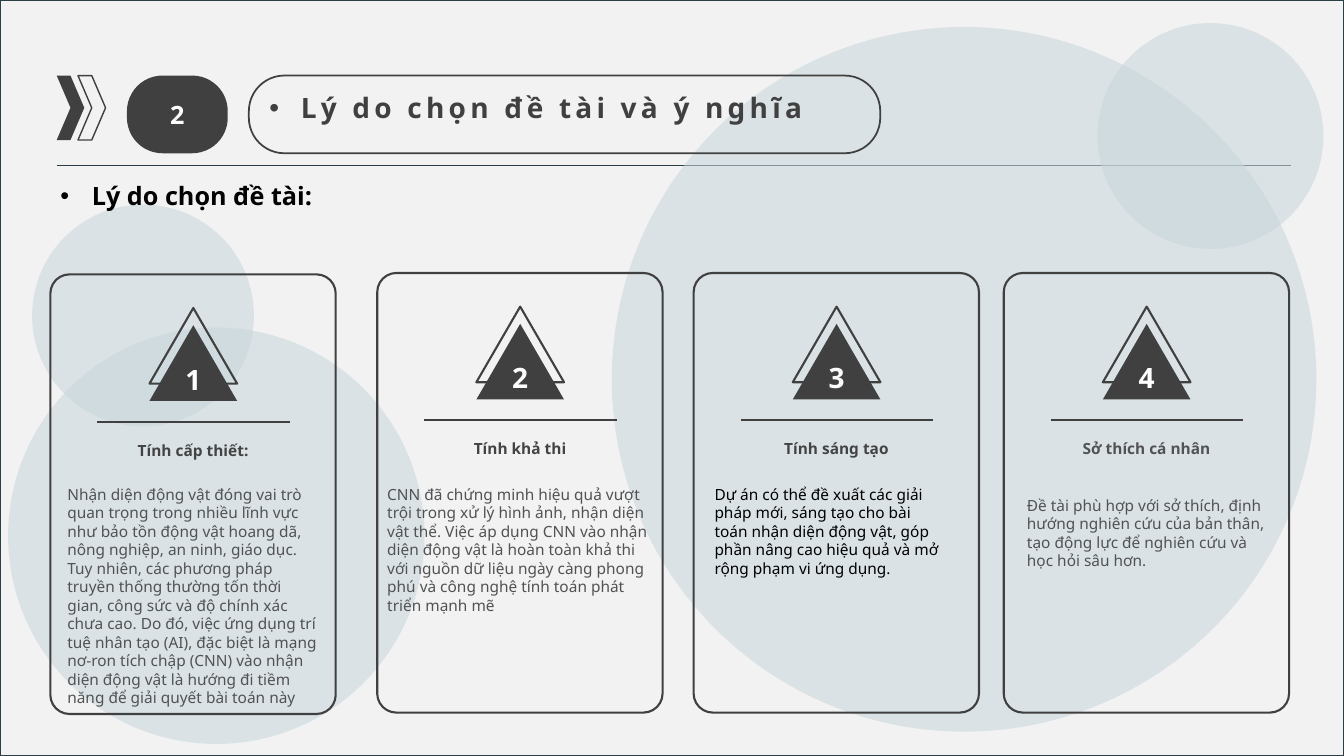
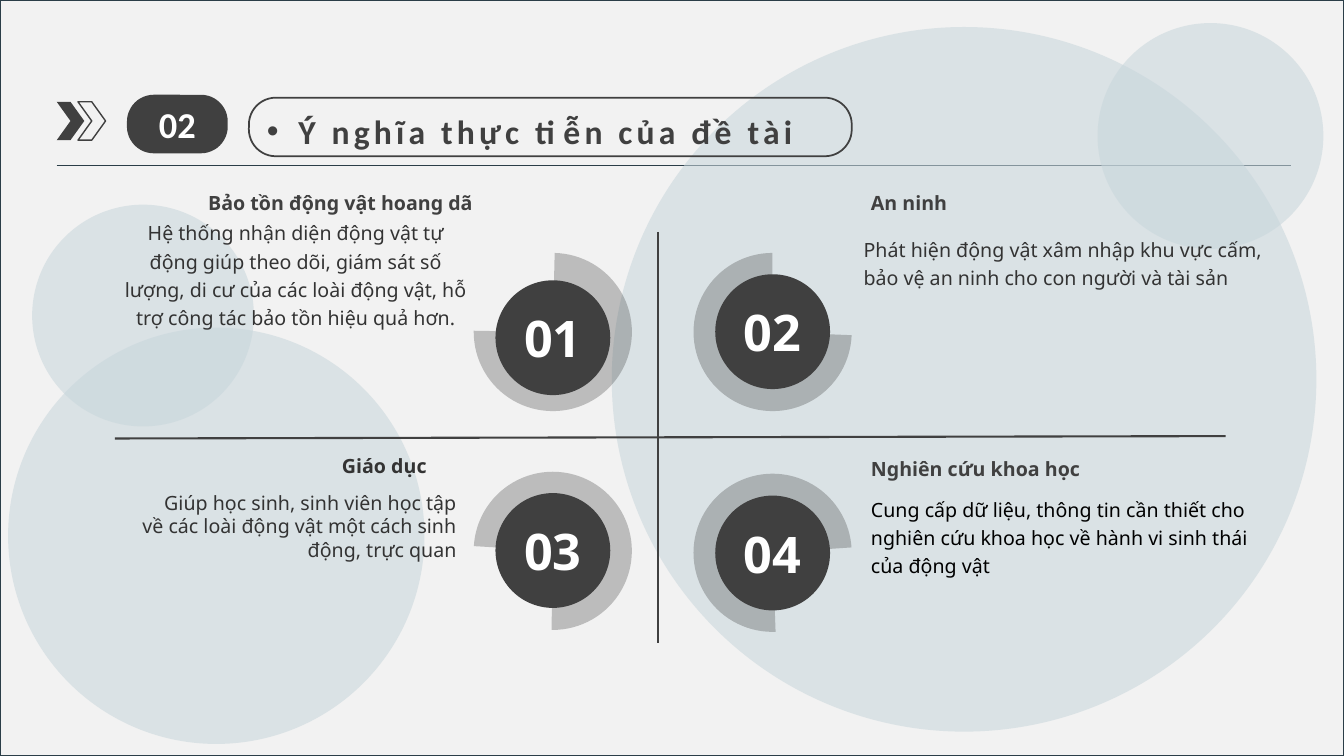
from lxml.etree import SubElement
from pptx import Presentation
from pptx.dml.color import RGBColor
from pptx.enum.shapes import MSO_CONNECTOR, MSO_SHAPE
from pptx.enum.text import MSO_ANCHOR, MSO_AUTO_SIZE, PP_ALIGN
from pptx.oxml.ns import qn
from pptx.util import Pt

# Shared look
COLORS = {
    "paper": "F2F2F2", "frame": "2B3E48", "bubble": "C8D6DC", "dark": "404040",
    "heading": "434343", "gray": "515253", "text": "333333", "black": "000000",
    "white": "FFFFFF",
}
FONT = "Noto Sans"
WIDTH, HEIGHT = 960, 540
BUBBLES = [(437, 19.3, 503.3), (784, 16.5, 161.3), (5.8, 234, 297.4), (23, 146.2, 158.4)]
PILL_ROUNDING = 0.458
LEFT, CENTER, RIGHT = PP_ALIGN.LEFT, PP_ALIGN.CENTER, PP_ALIGN.RIGHT

# Content: tops and heights are (top, height)
REASONS_HEADER = {
    "number": "2", "title": "Lý do chọn đề tài và ý nghĩa", "font": FONT,
    "number_size": 18, "title_size": 20, "title_width": 451,
    "chevrons": (54, 46), "badge": (54, 55.5), "pill": (54, 55.5),
}
MEANING_HEADER = {
    "number": "02", "title": "Ý nghĩa thực tiễn của đề tài", "font": "Calibri",
    "number_size": 26, "title_size": 24, "title_width": 430.6,
    "chevrons": (72.7, 27.4), "badge": (67.7, 41.8), "pill": (69.8, 41.8),
}
REASONS_LABEL = "Lý do chọn đề tài:"
# Card left and top, heading and colour, body box, body and colour
REASONS = [
    (36, 196, "Tính cấp thiết:", "heading", (41, 342.7, 193.7, 167),
     "Nhận diện động vật đóng vai trò quan trọng trong nhiều lĩnh vực như bảo tồn động vật "
     "hoang dã, nông nghiệp, an ninh, giáo dục. Tuy nhiên, các phương pháp truyền thống "
     "thường tốn thời gian, công sức và độ chính xác chưa cao. Do đó, việc ứng dụng trí tuệ "
     "nhân tạo (AI), đặc biệt là mạng nơ-ron tích chập (CNN) vào nhận diện động vật là hướng "
     "đi tiềm năng để giải quyết bài toán này", "gray"),
    (269.5, 195, "Tính khả thi", "heading", (269.5, 342.7, 200.9, 101),
     "CNN đã chứng minh hiệu quả vượt trội trong xử lý hình ảnh, nhận diện vật thể. Việc áp "
     "dụng CNN vào nhận diện động vật là hoàn toàn khả thi với nguồn dữ liệu ngày càng phong "
     "phú và công nghệ tính toán phát triển mạnh mẽ", "gray"),
    (495.5, 195, "Tính sáng tạo", "heading", (503.3, 342.7, 179.3, 74),
     "Dự án có thể đề xuất các giải pháp mới, sáng tạo cho bài toán nhận diện động vật, góp "
     "phần nâng cao hiệu quả và mở rộng phạm vi ứng dụng.", "black"),
    (717, 195, "Sở thích cá nhân", "gray", (726.5, 350.6, 185, 60.5),
     "Đề tài phù hợp với sở thích, định hướng nghiên cứu của bản thân, tạo động lực để "
     "nghiên cứu và học hỏi sâu hơn.", "gray"),
]
# Number, ring left and top, ring angles, disc drop
DISCS = [
    ("01", 338.4, 180.7, (271.36, 180.93), 19.5),
    ("02", 495.4, 180.7, (2.3, 269.79), 15.2),
    ("03", 338.4, 337, (183.43, 90.89), 15.2),
    ("04", 495.4, 338.4, (87.82, 356.09), 15.6),
]
# Heading, its box, colour and alignment; body, its box, colour, alignment, line spacing
MEANINGS = [
    ("Bảo tồn động vật hoang dã", (135, 132.5, 210, 25), "dark", RIGHT,
     "Hệ thống nhận diện động vật tự động giúp theo dõi, giám sát số lượng, di cư của các "
     "loài động vật, hỗ trợ công tác bảo tồn hiệu quả hơn.",
     (79.9, 151.2, 262.8, 105), "text", CENTER, 1.2),
    ("An ninh", (615, 132.5, 210, 25), "dark", LEFT,
     "Phát hiện động vật xâm nhập khu vực cấm, bảo vệ an ninh cho con người và tài sản",
     (609.8, 162.7, 326.9, 124), "text", LEFT, 1.2),
    ("Giáo dục", (102, 320.6, 210, 25), "text", RIGHT,
     "Giúp học sinh, sinh viên học tập về các loài động vật một cách sinh động, trực quan",
     (92.9, 347, 240.5, 87), "text", RIGHT, 1),
    ("Nghiên cứu khoa học", (615, 322.6, 210, 25), "dark", LEFT,
     "Cung cấp dữ liệu, thông tin cần thiết cho nghiên cứu khoa học về hành vi sinh thái "
     "của động vật", (615, 348.5, 284.4, 87), "black", LEFT, 1.2),
]


def rgb(color):
    return RGBColor.from_string(COLORS[color])


def write(shape, text, size, color, bold=False, align=LEFT, anchor=MSO_ANCHOR.TOP,
          font=FONT, spacing=1, wrap=True):
    frame = shape.text_frame
    frame.text = text
    frame.auto_size = MSO_AUTO_SIZE.NONE
    frame.word_wrap = wrap
    frame.vertical_anchor = anchor
    paragraph = frame.paragraphs[0]
    paragraph.alignment = align
    paragraph.line_spacing = spacing
    paragraph.font.size = Pt(size)
    paragraph.font.name = font
    paragraph.font.bold = bold
    paragraph.font.color.rgb = rgb(color)
    return paragraph


def add_bullet(paragraph, tracking=0):
    properties = paragraph._p.get_or_add_pPr()
    properties.set("marL", str(Pt(22.5)))
    properties.set("indent", str(-Pt(22.5)))
    defaults = properties.find(qn("a:defRPr"))
    defaults.set("spc", str(tracking * 100))
    for tag, name, value in (("a:buFont", "typeface", "Arial"), ("a:buChar", "char", "•")):
        bullet = SubElement(properties, qn(tag))
        bullet.set(name, value)
        defaults.addprevious(bullet)


def add_text(slide, box, text, size, color, **style):
    return write(slide.shapes.add_textbox(*map(Pt, box)), text, size, color, **style)


def add_figure(slide, kind, box, fill=None, line=None, weight=1.0, opacity=100,
               adjustments=()):
    shape = slide.shapes.add_shape(kind, *map(Pt, box))
    shape.shadow.inherit = False
    for index, value in enumerate(adjustments):
        shape.adjustments[index] = value
    if fill:
        shape.fill.solid()
        shape.fill.fore_color.rgb = rgb(fill)
        if opacity < 100:
            tint = shape.element.spPr.find(qn("a:solidFill")).find(qn("a:srgbClr"))
            SubElement(tint, qn("a:alpha")).set("val", str(opacity * 1000))
    else:
        shape.fill.background()
    if line:
        shape.line.color.rgb = rgb(line)
        shape.line.width = Pt(weight)
    else:
        shape.line.fill.background()
    return shape


def add_rule(slide, start, end, color="dark", weight=1.5):
    rule = slide.shapes.add_connector(MSO_CONNECTOR.STRAIGHT, *map(Pt, (*start, *end)))
    rule.line.color.rgb = rgb(color)
    rule.line.width = Pt(weight)
    SubElement(rule.element.spPr, qn("a:effectLst"))
    return rule


def move_backdrop_to_layout(slide, layout):
    """Draw the backdrop once and let the layout carry it."""
    for placeholder in list(layout.placeholders)[1:]:
        placeholder.element.getparent().remove(placeholder.element)
    parts = [
        add_figure(slide, MSO_SHAPE.RECTANGLE, (0, 0, WIDTH, HEIGHT), "paper", "frame"),
        add_rule(slide, (40.5, 118), (922.3, 118), "frame", 0.5),
    ]
    parts += [add_figure(slide, MSO_SHAPE.OVAL, (x, y, size, size), "bubble", opacity=57)
              for x, y, size in BUBBLES]
    for position, part in enumerate(parts, start=2):
        layout.shapes.element.insert(position, part.element)


def add_header(slide, header):
    top, height = header["chevrons"]
    add_figure(slide, MSO_SHAPE.CHEVRON, (55.7, top, 19.7, height), line="dark")
    add_figure(slide, MSO_SHAPE.CHEVRON, (40.5, top, 19.7, height), "dark")

    top, height = header["badge"]
    badge = add_figure(slide, MSO_SHAPE.ROUNDED_RECTANGLE, (90.7, top, 72, height), "dark",
                       adjustments=[PILL_ROUNDING])
    write(badge, header["number"], header["number_size"], "white", bold=True, align=CENTER,
          anchor=MSO_ANCHOR.MIDDLE, font=header["font"], wrap=False)

    left, width = 177.8, header["title_width"]
    top, height = header["pill"]
    add_figure(slide, MSO_SHAPE.ROUNDED_RECTANGLE, (left, top, width, height), line="dark",
               weight=1.25, adjustments=[PILL_ROUNDING])

    # The title sits inside the rounded corners
    inset = 0.29 * PILL_ROUNDING * height
    title = slide.shapes.title
    title.left, title.top = Pt(left + inset), Pt(top + inset)
    title.width, title.height = Pt(width - 2 * inset), Pt(height - 2 * inset)
    add_bullet(write(title, header["title"], header["title_size"], "dark", bold=True,
                     font=header["font"]), tracking=3)


def add_reason_card(slide, number, left, top, heading, heading_color, body_box, body,
                    body_color):
    add_figure(slide, MSO_SHAPE.ROUNDED_RECTANGLE, (left, top, 203.8, 314), line="dark",
               weight=1.5, adjustments=[0.067])
    add_rule(slide, (left + 33.5, top + 105.3), (left + 171, top + 105.3))
    add_text(slide, (left + 16, top + 115.3, 172, 24), heading, 11, heading_color,
             bold=True, align=CENTER)
    triangle = (left + 70.8, top + 24, 62.6, 54)
    add_figure(slide, MSO_SHAPE.ISOSCELES_TRIANGLE, triangle, line="dark", weight=1.5)
    marker = add_figure(slide, MSO_SHAPE.ISOSCELES_TRIANGLE,
                        (triangle[0], top + 36.3, *triangle[2:]), "dark")
    write(marker, str(number), 20, "white", bold=True, align=CENTER,
          anchor=MSO_ANCHOR.BOTTOM, wrap=False)
    add_text(slide, body_box, body, 11, body_color)


def add_disc(slide, number, left, top, angles, drop):
    ring, disc = 113, 82
    # Pie angles are stored in 60000ths of a degree, adjustments in 100000ths
    add_figure(slide, MSO_SHAPE.PIE, (left, top, ring, ring), "dark", opacity=30,
               adjustments=[angle * 0.6 for angle in angles])
    center = add_figure(slide, MSO_SHAPE.OVAL,
                        (left + (ring - disc) / 2, top + drop, disc, disc), "dark")
    write(center, number, 36, "white", bold=True, align=CENTER,
          anchor=MSO_ANCHOR.MIDDLE, wrap=False)


def build_reasons(slide):
    add_header(slide, REASONS_HEADER)
    add_bullet(add_text(slide, (36, 125.3, 404.6, 29), REASONS_LABEL, 18, "black",
                        bold=True))
    for number, reason in enumerate(REASONS, start=1):
        add_reason_card(slide, number, *reason)


def build_meanings(slide):
    add_header(slide, MEANING_HEADER)
    add_rule(slide, (82, 313.2), (875.5, 311.5))
    add_rule(slide, (470.2, 165.6), (470.2, 459.4))
    for disc in DISCS:
        add_disc(slide, *disc)
    for (heading, heading_box, heading_color, heading_align,
         body, body_box, body_color, body_align, spacing) in MEANINGS:
        add_text(slide, body_box, body, 14, body_color, align=body_align, spacing=spacing)
        add_text(slide, heading_box, heading, 14, heading_color, bold=True,
                 align=heading_align)


def main():
    deck = Presentation()
    deck.slide_width, deck.slide_height = Pt(WIDTH), Pt(HEIGHT)
    layout = deck.slide_layouts[5]
    reasons = deck.slides.add_slide(layout)
    move_backdrop_to_layout(reasons, layout)
    build_reasons(reasons)
    build_meanings(deck.slides.add_slide(layout))
    deck.save("out.pptx")


if __name__ == "__main__":
    main()
